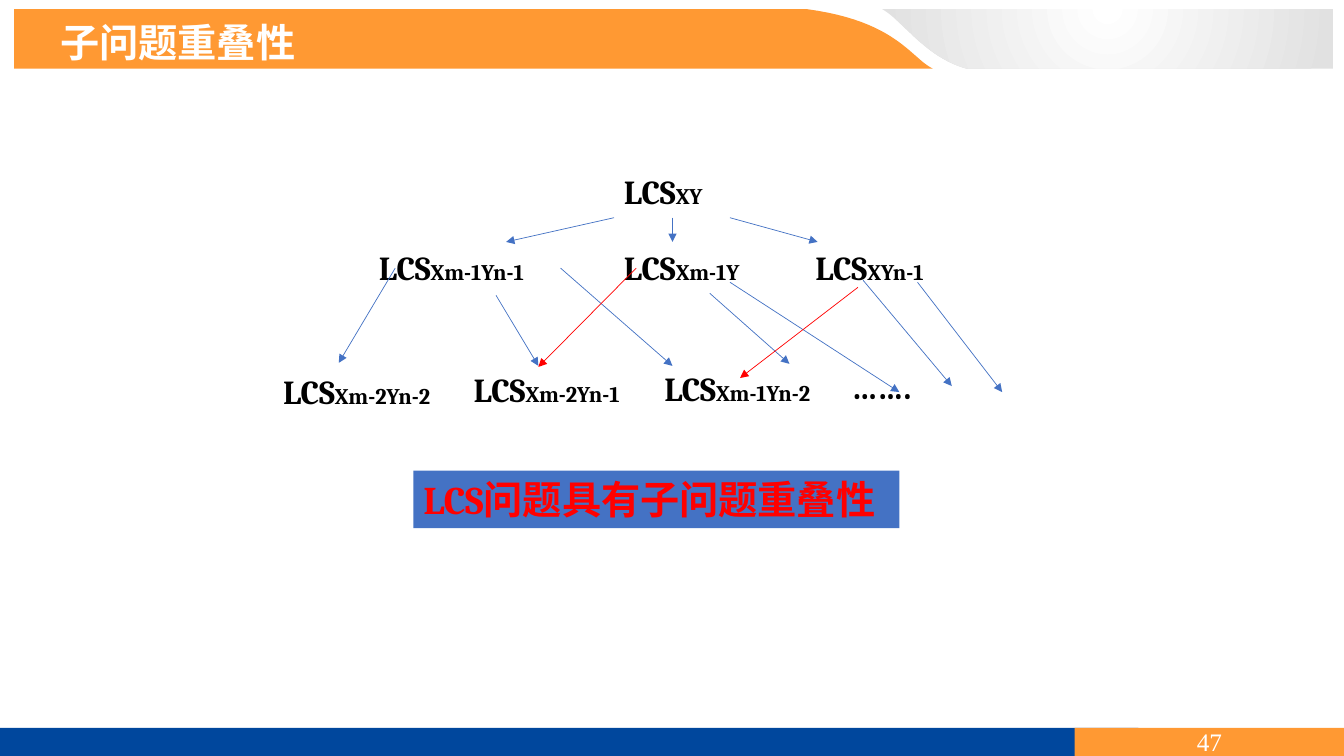
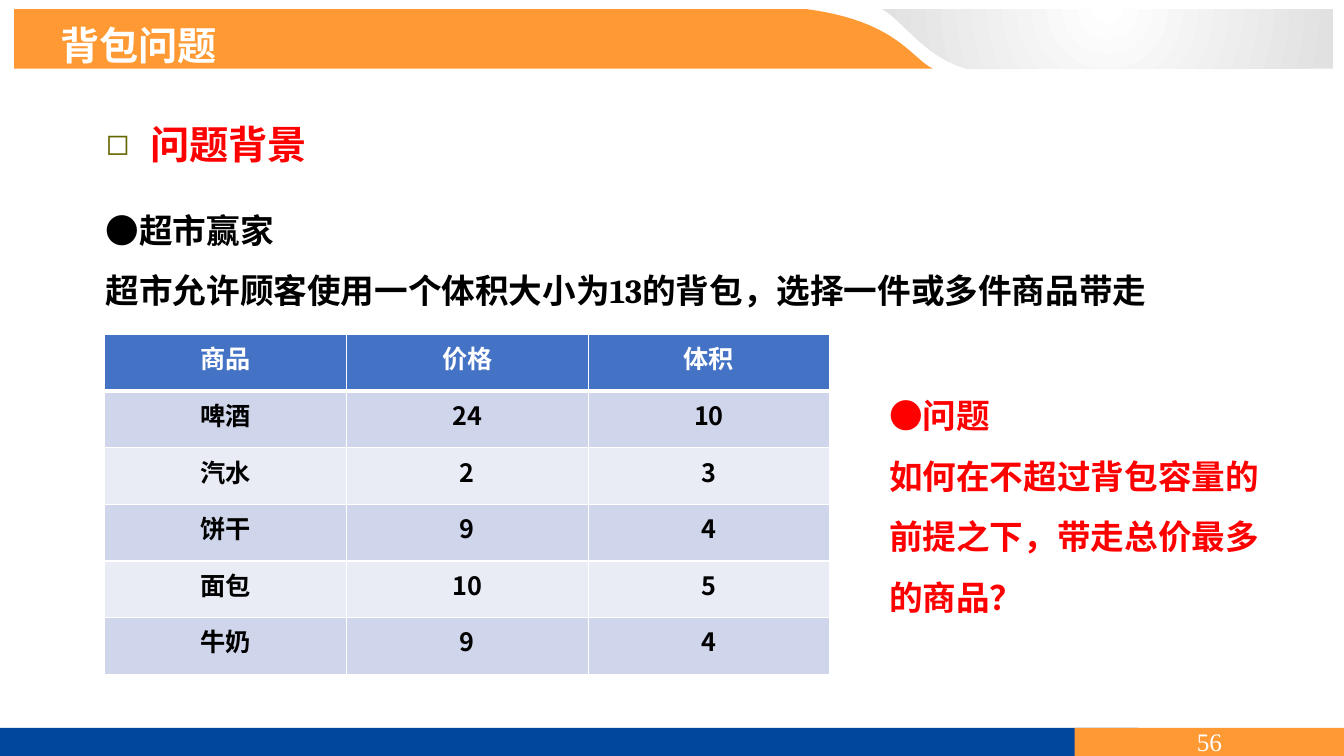
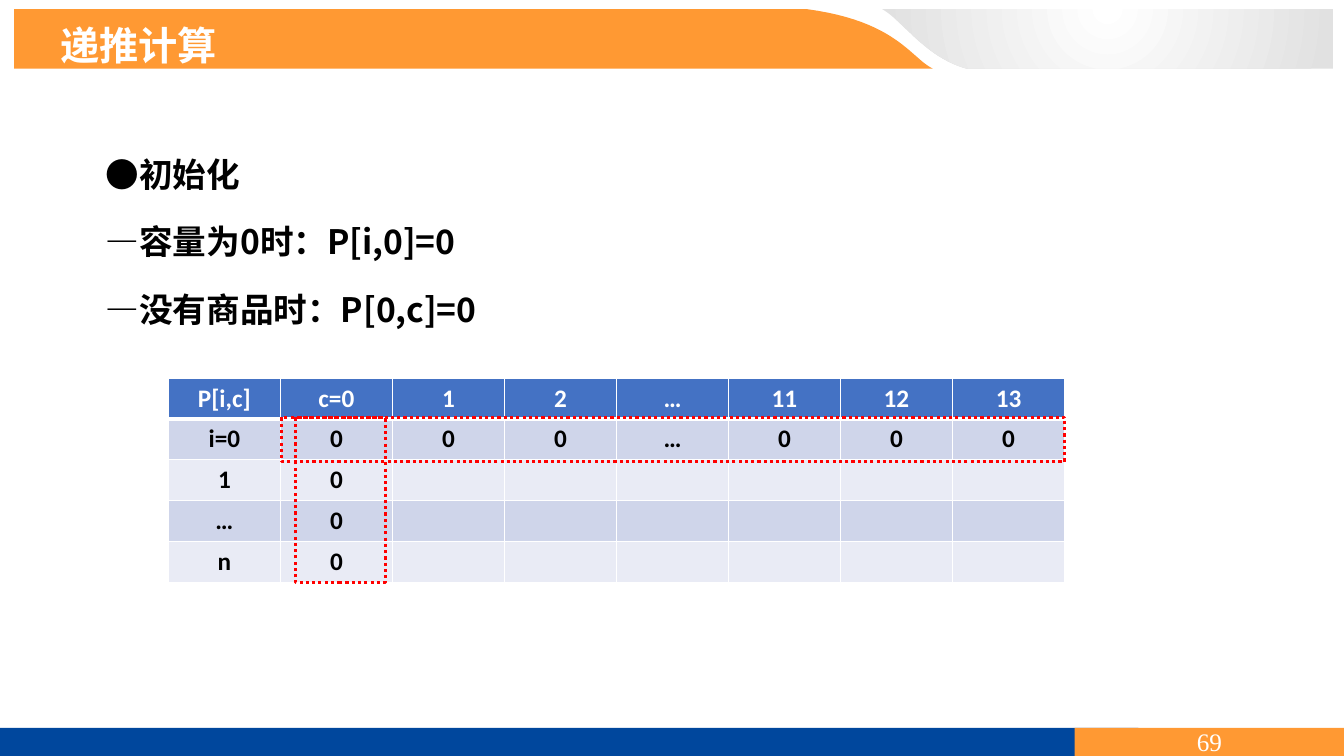
from lxml.etree import SubElement
from pptx import Presentation
from pptx.dml.color import RGBColor
from pptx.enum.dml import MSO_LINE
from pptx.enum.shapes import MSO_CONNECTOR, MSO_SHAPE
from pptx.enum.text import MSO_ANCHOR, PP_ALIGN
from pptx.oxml.ns import qn
from pptx.util import Inches, Pt

HUES = {
    "orange": "FF9933", "navy": "00479D", "blue": "4472C4", "red": "FF0000",
    "white": "FFFFFF", "black": "000000", "silver": "E1E1E1",
    "dark": "CFD5EA", "light": "E9EBF5", "olive": "666600",
}
HAN = "Noto Sans CJK SC"
HEAD = {"name": HAN, "size": Pt(28), "bold": True, "hue": "white"}
BODY = {"name": HAN, "size": Pt(24), "bold": True, "hue": "black"}
CELL = {"name": HAN, "size": Pt(18), "bold": True, "hue": "black"}
FOOT = {"name": "Times New Roman", "size": Pt(18), "hue": "white"}
SERIF = {**BODY, "name": "Cambria"}


def rgb(hue):
    return RGBColor.from_string(HUES[hue])


def add(node, tag, **attrs):
    return SubElement(node, qn(tag), attrs)


def curve(a, b, c, d, count=24):
    """Points along a cubic Bezier from a to d, without a itself."""
    ts = [n / count for n in range(1, count + 1)]
    return [
        tuple((1 - t) ** 3 * p + 3 * t * (1 - t) ** 2 * q
              + 3 * t * t * (1 - t) * r + t ** 3 * s
              for p, q, r, s in zip(a, b, c, d))
        for t in ts
    ]


class Deck:
    def __init__(self):
        self.prs = Presentation()
        self.prs.slide_width = Inches(13.33)
        self.prs.slide_height = Inches(7.5)
        self.shapes = None

    def page(self, title, num, top=0.16):
        """Start a slide with its bands, title and number."""
        layout = self.prs.slide_layouts[6]
        self.shapes = self.prs.slides.add_slide(layout).shapes
        wave = curve((8, 0.09), (8.89, 0.21), (9.03, 0.57), (9.25, 0.68))
        self.band([(0.14, 0.09), (8, 0.09), *wave, (0.14, 0.68)], "orange")
        wave = curve((9.59, 0.68), (9.18, 0.57), (8.96, 0.21), (8.75, 0.09))
        gray = self.band([(13.22, 0.68), (9.59, 0.68), *wave, (13.22, 0.09)], "silver")
        self.glow(gray.fill)
        self.rect((0, 7.22, 11.29, 0.28), "navy")
        foot = self.rect((10.66, 7.22, 2.67, 0.28), "orange")
        self.put(foot.text_frame, [str(num)], FOOT, align=PP_ALIGN.CENTER)
        self.text((0.5, top, 6.84, 0.57), [title], HEAD)

    def band(self, points, hue):
        first, *rest = [(Inches(x), Inches(y)) for x, y in points]
        pen = self.shapes.build_freeform(*first)
        pen.add_line_segments(rest, close=True)
        return self.paint(pen.convert_to_shape(), hue)

    def glow(self, fill):
        """Radial gradient, white at the top centre."""
        fill.gradient()
        for stop, hue in zip(fill.gradient_stops, ("white", "silver")):
            stop.color.rgb = rgb(hue)
        grad = fill._fill._gradFill
        grad.remove(grad.find(qn("a:lin")))
        ring = add(grad, "a:path", path="circle")
        add(ring, "a:fillToRect", l="50000", t="-80000", r="50000", b="180000")

    def paint(self, shape, hue):
        shape.shadow.inherit = False
        if hue:
            shape.fill.solid()
            shape.fill.fore_color.rgb = rgb(hue)
        else:
            shape.fill.background()
        shape.line.fill.background()
        return shape

    def rect(self, box, hue=None):
        shape = self.shapes.add_shape(MSO_SHAPE.RECTANGLE, *map(Inches, box))
        return self.paint(shape, hue)

    def frame(self, box):
        """Dotted red outline."""
        line = self.rect(box).line
        line.color.rgb = rgb("red")
        line.width = Pt(2.25)
        line.dash_style = MSO_LINE.ROUND_DOT

    def text(self, box, paras, style, **form):
        area = self.shapes.add_textbox(*map(Inches, box)).text_frame
        self.put(area, paras, style, **form)
        return area

    def put(self, area, paras, style, gap=0, align=PP_ALIGN.LEFT, lead=None):
        """Fill a frame; a paragraph is a string or a list of (text, changes)."""
        area.word_wrap = True
        for n, para in enumerate(paras):
            p = area.add_paragraph() if n else area.paragraphs[0]
            p.alignment = align
            if lead:
                p.line_spacing = lead
            p.space_before = Pt(gap if n else 0)
            for words, diff in [(para, {})] if isinstance(para, str) else para:
                run = p.add_run()
                run.text = words
                self.style(run.font, {**style, **diff})

    def style(self, font, form):
        for key, value in form.items():
            if key == "hue":
                font.color.rgb = rgb(value)
            else:
                setattr(font, key, value)
        add(font._element, "a:ea", typeface=HAN)

    def bullet(self, p, indent):
        props = p._p.get_or_add_pPr()
        props.set("marL", str(Inches(indent)))
        props.set("indent", str(-Inches(indent)))
        add(add(props, "a:buClr"), "a:srgbClr", val=HUES["olive"])
        add(props, "a:buSzPct", val="75000")
        add(props, "a:buFont", typeface="DejaVu Sans")
        add(props, "a:buChar", char="◻")

    def arrow(self, x1, y1, x2, y2, hue="blue"):
        ends = map(Inches, (x1, y1, x2, y2))
        link = self.shapes.add_connector(MSO_CONNECTOR.STRAIGHT, *ends)
        link.line.color.rgb = rgb(hue)
        link.line.width = Pt(0.5)
        add(link.line._get_or_add_ln(), "a:tailEnd", type="triangle")
        add(link._element.spPr, "a:effectLst")

    def table(self, box, rows, style):
        size = len(rows), len(rows[0])
        grid = self.shapes.add_table(*size, *map(Inches, box)).table
        for r, row in enumerate(rows):
            for c, words in enumerate(row):
                cell = grid.cell(r, c)
                self.edge(cell, r)
                cell.fill.solid()
                fill = ("light", "dark")[r % 2] if r else "blue"
                cell.fill.fore_color.rgb = rgb(fill)
                if words:
                    form = style if r else {**style, "hue": "white"}
                    self.put(cell.text_frame, [words], form, align=PP_ALIGN.CENTER)

    def edge(self, cell, row):
        """White borders, thick between head and body."""
        props = cell._tc.get_or_add_tcPr()
        for side in "LRTB":
            thick = (row, side) in ((0, "B"), (1, "T"))
            line = add(props, "a:ln" + side, w=str(Pt(3 if thick else 1)))
            add(add(line, "a:solidFill"), "a:srgbClr", val=HUES["white"])


def tree(deck):
    deck.page("子问题重叠性", 47, top=0.13)
    nodes = [
        (6.09, 1.65, "XY"),
        (3.66, 2.4, "Xm-1Yn-1"), (6.09, 2.4, "Xm-1Y"), (7.99, 2.4, "XYn-1"),
        (2.71, 3.63, "Xm-2Yn-2"), (4.6, 3.61, "Xm-2Yn-1"), (6.49, 3.6, "Xm-1Yn-2"),
    ]
    for x, y, sub in nodes:
        label = [("LCS", {}), (sub, {"size": Pt(16)})]
        deck.text((x, y, 1.9, 0.5), [label], SERIF)
    deck.text((8.35, 3.58, 1.9, 0.5), ["……."], SERIF)
    links = [
        (6.09, 2.16, 5.02, 2.4), (6.67, 2.16, 6.67, 2.4), (7.24, 2.16, 8.11, 2.4),
        (3.92, 2.66, 3.36, 3.6), (4.92, 2.93, 5.34, 3.63), (5.56, 2.66, 6.67, 3.63),
        (6.31, 2.66, 5.34, 3.64, "red"), (7.04, 2.91, 7.83, 3.61),
        (7.24, 2.8, 8.92, 3.89), (8.51, 2.85, 7.34, 3.75, "red"),
        (8.56, 2.78, 9.44, 3.83), (9.1, 2.8, 9.94, 3.89),
    ]
    for link in links:
        deck.arrow(*link)
    note = deck.rect((4.1, 4.67, 4.82, 0.57), "blue").text_frame
    note.vertical_anchor = MSO_ANCHOR.TOP
    deck.put(note, ["LCS问题具有子问题重叠性"], {**SERIF, "size": Pt(28), "hue": "red"})


def pack(deck):
    deck.page("背包问题", 56)
    topic = deck.text((0.95, 1.14, 10.15, 0.69), ["问题背景"], {**HEAD, "hue": "red"})
    deck.bullet(topic.paragraphs[0], 0.44)
    deck.text((0.95, 1.83, 11.03, 2.03), [
        "●超市赢家",
        "超市允许顾客使用一个体积大小为13的背包，选择一件或多件商品带走",
    ], SERIF, lead=1.5)
    deck.table((1.04, 3.32, 7.19, 3.37), [
        ("商品", "价格", "体积"),
        ("啤酒", "24", "10"),
        ("汽水", "2", "3"),
        ("饼干", "9", "4"),
        ("面包", "10", "5"),
        ("牛奶", "9", "4"),
    ], CELL)
    deck.text((8.72, 3.67, 4.09, 2.81), [
        "●问题",
        "如何在不超过背包容量的前提之下，带走总价最多的商品？",
    ], {**SERIF, "hue": "red"}, lead=1.5)


def steps(deck):
    deck.page("递推计算", 69)
    deck.text((0.95, 1.28, 10.15, 2.16), [
        "●初始化",
        "—容量为0时：P[i,0]=0",
        "—没有商品时：P[0,c]=0",
    ], BODY, gap=4.8, lead=1.5)
    rows = [
        ["P[i,c]", "c=0", "1", "2", "…", "11", "12", "13"],
        ["i=0", "0", "0", "0", "…", "0", "0", "0"],
    ]
    rows += [[name, "0"] + [""] * 6 for name in ("1", "…", "n")]
    deck.table((1.67, 3.75, 8.89, 2.03), rows, {**CELL, "name": "Calibri"})
    deck.frame((2.79, 4.14, 7.77, 0.44))
    deck.frame((2.93, 4.14, 0.89, 1.64))


def main():
    deck = Deck()
    for build in (tree, pack, steps):
        build(deck)
    deck.prs.save("out.pptx")


if __name__ == "__main__":
    main()
